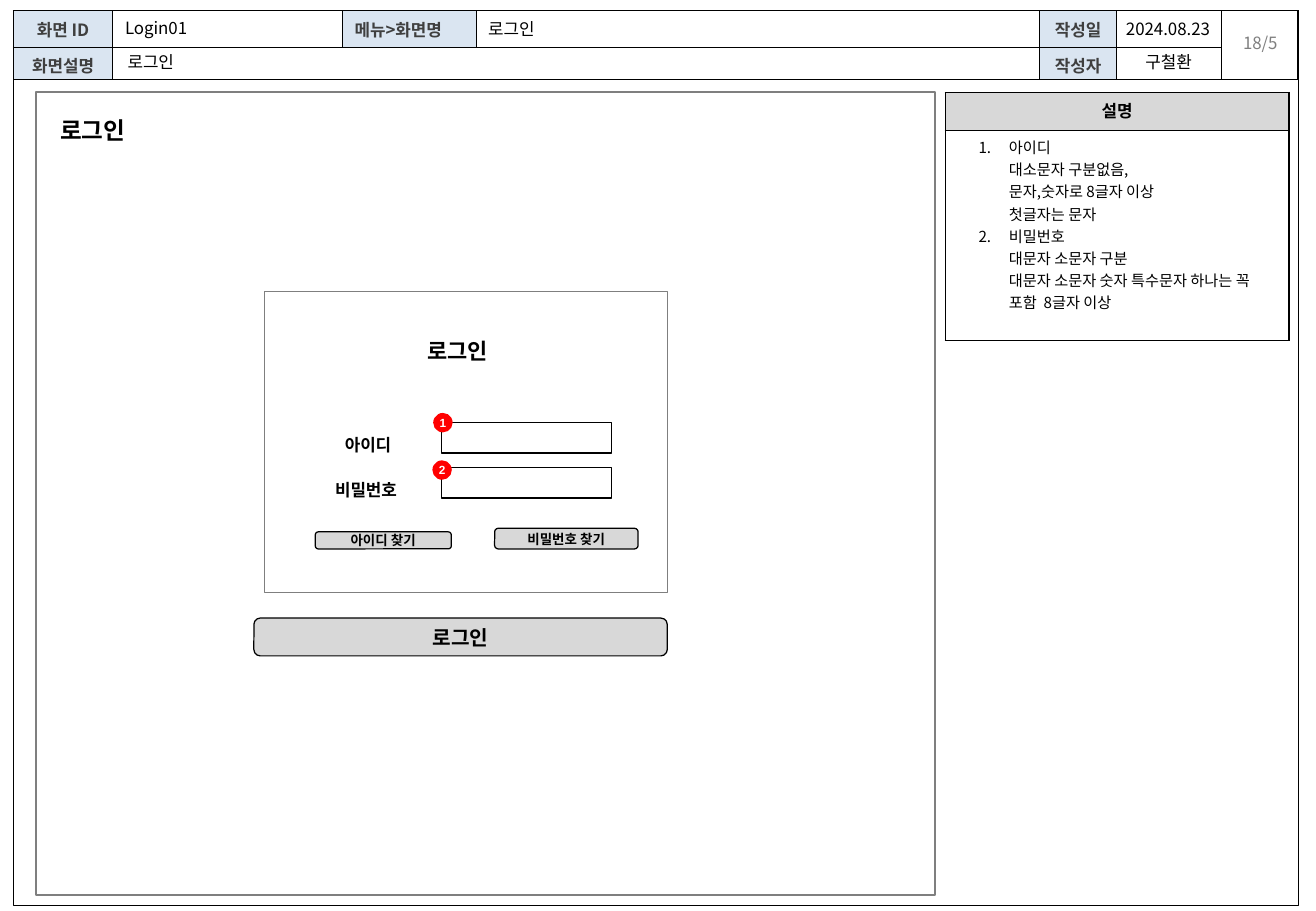
from lxml import etree
from pptx import Presentation
from pptx.dml.color import RGBColor
from pptx.enum import shapes, text
from pptx.oxml.ns import qn
from pptx.util import Pt

BLACK = RGBColor(0, 0, 0)
WHITE = RGBColor(255, 255, 255)
DARK = RGBColor(0x3F, 0x3F, 0x3F)
GRAY = RGBColor(0x7F, 0x7F, 0x7F)
LIGHT = RGBColor(0xD8, 0xD8, 0xD8)
BLUE = RGBColor(0xDA, 0xE5, 0xF1)
RED = RGBColor(255, 0, 0)
NOTO = "Noto Sans CJK KR"
LEFT, CENTER = text.PP_ALIGN.LEFT, text.PP_ALIGN.CENTER
TOP, MIDDLE = text.MSO_ANCHOR.TOP, text.MSO_ANCHOR.MIDDLE
RECT, ROUND, OVAL = (shapes.MSO_SHAPE.RECTANGLE, shapes.MSO_SHAPE.ROUNDED_RECTANGLE,
                     shapes.MSO_SHAPE.OVAL)

prs = Presentation()
prs.slide_width, prs.slide_height = Pt(780), Pt(540)
s = prs.slides.add_slide(prs.slide_layouts[5])


def write(p, words, size=10, color=BLACK, bold=False, align=LEFT, font=NOTO):
    p.text = words
    p.alignment = align
    p.font.size, p.font.bold, p.font.name = Pt(size), bold, font
    p.font.color.rgb = color
    etree.SubElement(p._p.pPr.find(qn("a:defRPr")), qn("a:ea"), typeface=font)


def add_box(kind, x, y, w, h, fill=None, line=None):
    sp = s.shapes.add_shape(kind, Pt(x), Pt(y), Pt(w), Pt(h))
    sp.shadow.inherit = False
    if fill is None:
        sp.fill.background()
    else:
        sp.fill.solid()
        sp.fill.fore_color.rgb = fill
    if line is None:
        sp.line.fill.background()
    else:
        sp.line.color.rgb = line
        sp.line.width = Pt(0.75)
    sp.text_frame.vertical_anchor = MIDDLE
    return sp


header = s.shapes.add_table(2, 7, Pt(7.9), Pt(6.5), Pt(761.5), Pt(41)).table
add_box(RECT, 7.9, 47, 761.8, 489.6, WHITE, BLACK)
add_box(RECT, 21.4, 54.6, 532.8, 476, None, GRAY)
add_box(RECT, 157, 172.6, 238.5, 178.5, None, GRAY)
for y in (250.6, 277.2):
    add_box(RECT, 261.6, y, 100.8, 18, None, BLACK)
notes = s.shapes.add_table(2, 1, Pt(560.2), Pt(54.7), Pt(203.8), Pt(147.2)).table

for table, widths, heights in (
    (header, (59, 136.1, 79.2, 334.1, 45.4, 62.5, 45.2), (20.5, 20.5)),
    (notes, (203.8,), (22.5, 124.7)),
):
    table.first_row = table.horz_banding = False
    for col, width in zip(table.columns, widths):
        col.width = Pt(width)
    for row, height in zip(table.rows, heights):
        row.height = Pt(height)
    for cell in table.iter_cells():
        tcPr = cell._tc.get_or_add_tcPr()
        for side in ("a:lnL", "a:lnR", "a:lnT", "a:lnB"):
            ln = etree.SubElement(tcPr, qn(side), w=str(Pt(0.75)))
            solid = etree.SubElement(ln, qn("a:solidFill"))
            etree.SubElement(solid, qn("a:srgbClr"), val=str(BLACK))

labels = {(0, 0): "화면 ID", (0, 2): "메뉴>화면명", (0, 4): "작성일",
          (1, 0): "화면설명", (1, 4): "작성자"}
for row in range(2):
    for col in range(7):
        cell = header.cell(row, col)
        p = cell.text_frame.paragraphs[0]
        cell.fill.solid()
        cell.fill.fore_color.rgb = BLUE if (row, col) in labels else WHITE
        cell.vertical_anchor = MIDDLE
        if (row, col) in labels:
            write(p, labels[row, col], 10, DARK, True, LEFT if col == 2 else CENTER)
        else:
            etree.SubElement(p._p, qn("a:endParaRPr"), sz="1000")
header.cell(0, 6).merge(header.cell(1, 6))
header.cell(1, 1).merge(header.cell(1, 3))

heading, body = notes.cell(0, 0), notes.cell(1, 0)
heading.fill.solid()
heading.fill.fore_color.rgb = LIGHT
write(heading.text_frame.paragraphs[0], "설명", 10, BLACK, True, CENTER)
body.fill.background()
body.margin_left = body.margin_right = Pt(5.8)
tf = body.text_frame
rules = (
    "아이디\n대소문자 구분없음, \n문자,숫자로 8글자 이상\n첫글자는 문자",
    "비밀번호\n대문자 소문자 구분\n대문자 소문자 숫자 특수문자 하나는 꼭 포함  8글자 이상",
)
for p, rule in zip((tf.paragraphs[0], tf.add_paragraph()), rules):
    write(p, rule, 9)
    pPr = p._p.pPr
    pPr.set("marL", str(Pt(32)))
    pPr.set("indent", str(Pt(-18)))
    number = etree.Element(qn("a:buAutoNum"), type="arabicPeriod")
    pPr.insert(0, number)

title = s.shapes.title
title._element.getparent().append(title._element)
title.left, title.top, title.width, title.height = Pt(72.7), Pt(27.2), Pt(463.7), Pt(20.9)
tf = title.text_frame
tf.auto_size = text.MSO_AUTO_SIZE.NONE
tf.vertical_anchor = TOP
tf.margin_left, tf.margin_right = Pt(2.9), 0
tf.margin_top = tf.margin_bottom = Pt(3.6)
write(tf.paragraphs[0], "로그인")

for x, y, w, h, inset_left, inset_top, style in (
    (724.3, 15.8, 45.4, 19.4, 7.2, 3.6, ("18/5", 10, GRAY, False, CENTER)),
    (67, 7.2, 56.9, 19.4, 7.2, 3.6, ("Login01",)),
    (282.3, 7.6, 260.6, 19.4, 7.2, 3.6, ("로그인",)),
    (660.3, 7.6, 67.7, 19.4, 7.2, 3.6, ("2024.08.23",)),
    (671.8, 27.1, 56.9, 19.4, 7.2, 3.6, ("구철환",)),
    (35.6, 65.2, 196.6, 24.5, 0, 3.6, ("로그인", 14, BLACK, True)),
    (232.6, 196.6, 84.2, 23, 0, 3.6, ("로그인", 13, BLACK, True, CENTER)),
    (180.7, 251.8, 74.9, 19.4, 7.2, 7.2, ("아이디", 10, BLACK, True, CENTER, "Arial")),
    (179.8, 278.4, 74.2, 19.4, 7.2, 7.2, ("비밀번호", 10, BLACK, True, CENTER, "Arial")),
):
    tf = s.shapes.add_textbox(Pt(x), Pt(y), Pt(w), Pt(h)).text_frame
    tf.word_wrap = True
    tf.margin_left, tf.margin_right = Pt(inset_left), Pt(7.2)
    tf.margin_top = tf.margin_bottom = Pt(inset_top)
    write(tf.paragraphs[0], *style)

for x, y, w, h, label, size in (
    (150.5, 366.4, 245, 22.4, "로그인", 12),
    (186.9, 315.3, 80.6, 10.1, "아이디 찾기", 8),
    (293.2, 313.2, 85, 12.2, "비밀번호 찾기", 8),
):
    sp = add_box(ROUND, x, y, w, h, LIGHT, BLACK)
    write(sp.text_frame.paragraphs[0], label, size, BLACK, True, CENTER)

for x, y, label in ((256.8, 244.8, "1"), (256.3, 272.9, "2")):
    tf = add_box(OVAL, x, y, 11.5, 11.5, RED).text_frame
    tf.margin_left = tf.margin_right = tf.margin_top = tf.margin_bottom = 0
    write(tf.paragraphs[0], label, 7, WHITE, True, CENTER, "Arial")

prs.save("out.pptx")
